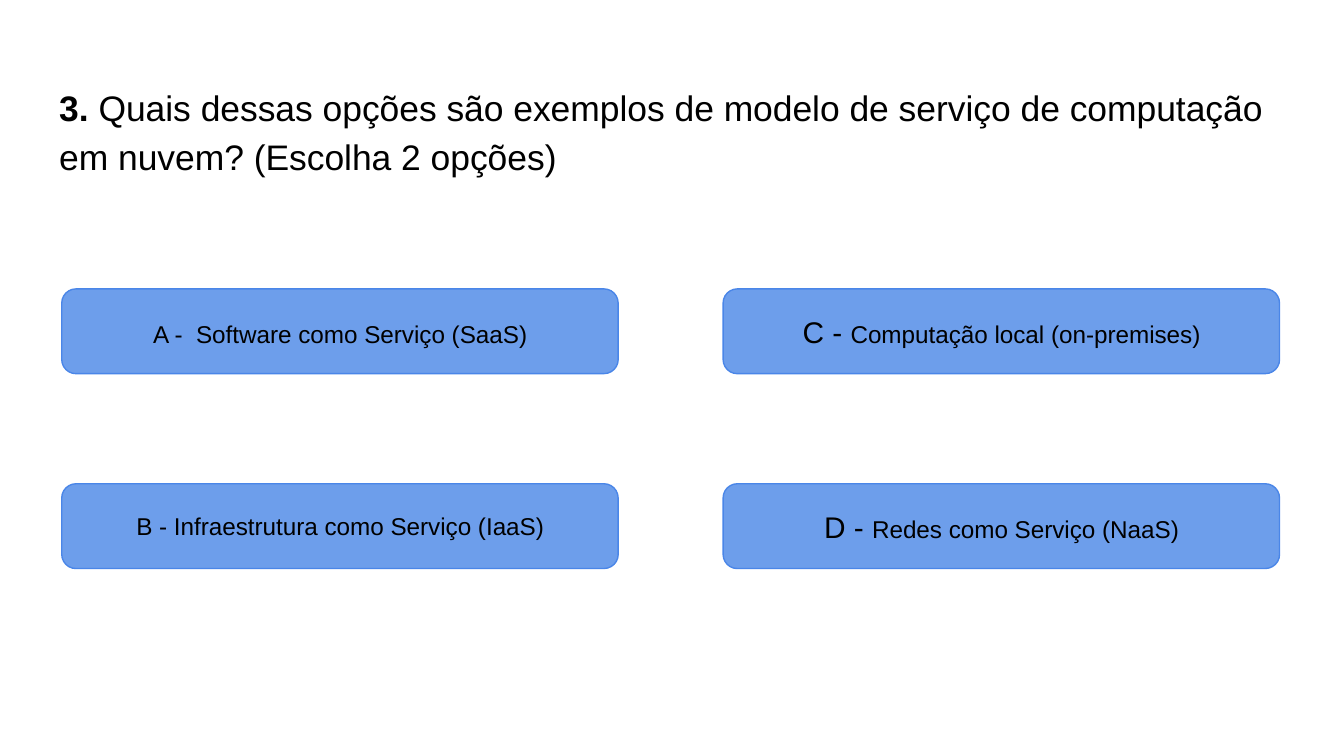
import pptx
import pptx.util
import pptx.dml.color
import pptx.enum.shapes
import pptx.enum.text

Pt = pptx.util.Pt
Align = pptx.enum.text.PP_ALIGN
Anchor = pptx.enum.text.MSO_ANCHOR

TITLE = [
    ("3. ", 19, True),
    ("Quais dessas opções são exemplos de modelo de serviço de computação "
     "em nuvem? (Escolha 2 opções)", 19, False),
]
CARDS = [
    [("A -  Software como Serviço (SaaS)", 13, False)],
    [("B - Infraestrutura como Serviço (IaaS)", 13, False)],
    [("C - ", 16, False), ("Computação local (on-premises)", 13, False)],
    [("D - ", 16, False), ("Redes como Serviço (NaaS)", 13, False)],
]
LEFT, TOP = 33.1, 154.8
WIDE, HIGH = 298.1, 45.4
STEP_X, STEP_Y = 354.3, 104.4
ROWS = 2


def color(code):
    return pptx.dml.color.RGBColor.from_string(code)


def write(shape, parts, align, anchor):
    frame = shape.text_frame
    frame.word_wrap = True
    frame.auto_size = pptx.enum.text.MSO_AUTO_SIZE.NONE
    frame.vertical_anchor = anchor
    frame.margin_left = frame.margin_right = Pt(7.2)
    frame.margin_top = frame.margin_bottom = Pt(7.2)
    para = frame.paragraphs[0]
    para.alignment = align
    for text, size, bold in parts:
        run = para.add_run()
        run.text = text
        run.font.name = "Arial"
        run.font.size = Pt(size)
        run.font.bold = bold
        run.font.color.rgb = color("000000")
    return para


def loosen(para):
    para.line_spacing = 1.15
    para.space_before = para.space_after = Pt(12)


def main():
    deck = pptx.Presentation()
    deck.slide_width, deck.slide_height = Pt(720), Pt(405)
    slide = deck.slides.add_slide(deck.slide_layouts[5])

    title = slide.shapes.title
    title.left, title.top = Pt(24.5), Pt(35.3)
    title.width, title.height = Pt(671), Pt(45.4)
    loosen(write(title, TITLE, Align.LEFT, Anchor.TOP))

    for i, parts in enumerate(CARDS):
        col, row = divmod(i, ROWS)
        card = slide.shapes.add_shape(
            pptx.enum.shapes.MSO_SHAPE.ROUNDED_RECTANGLE,
            Pt(LEFT + col * STEP_X), Pt(TOP + row * STEP_Y),
            Pt(WIDE), Pt(HIGH))
        card.shadow.inherit = False
        card.fill.solid()
        card.fill.fore_color.rgb = color("6D9EEB")
        card.line.color.rgb = color("4A86E8")
        card.line.width = Pt(0.75)
        para = write(card, parts, Align.CENTER, Anchor.MIDDLE)
        if i == 0:
            loosen(para)

    deck.save("out.pptx")


if __name__ == "__main__":
    main()
